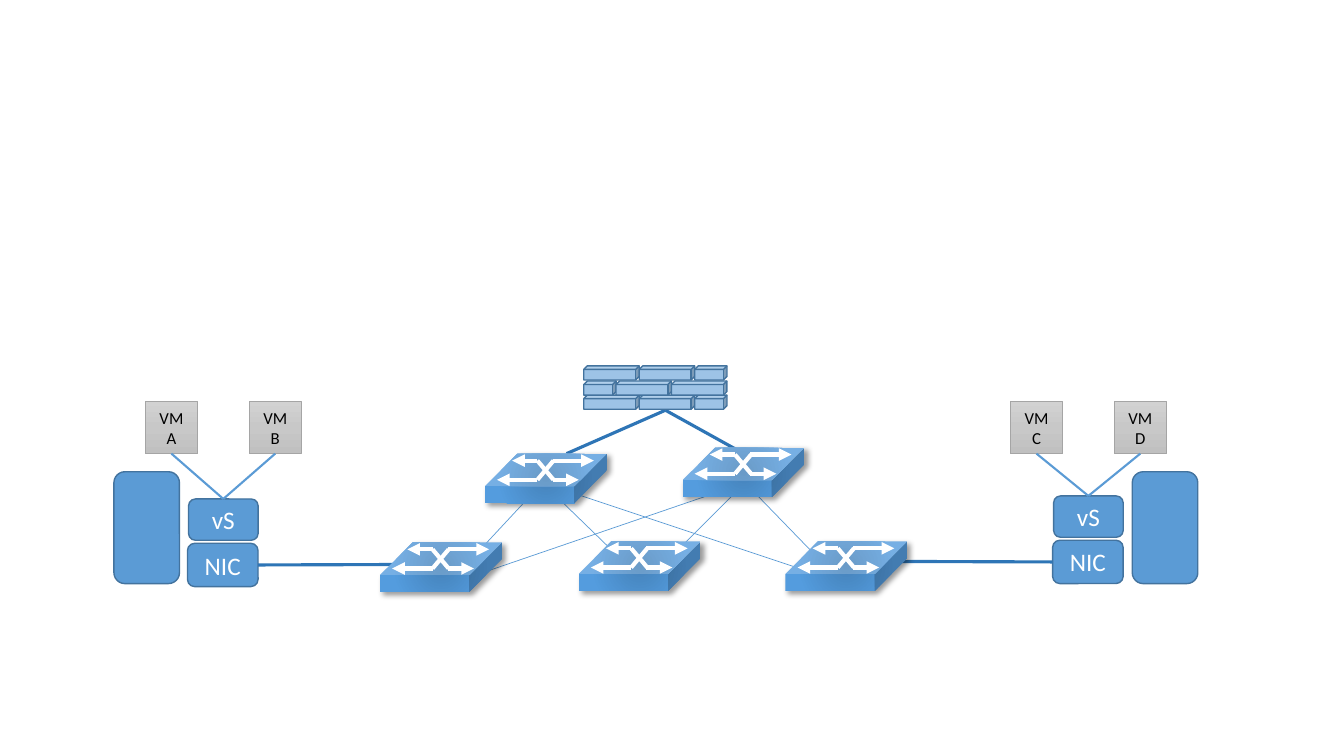
import itertools

import pptx
import pptx.dml.color
import pptx.enum.shapes
import pptx.enum.text
import pptx.oxml
import pptx.oxml.ns
import pptx.util
from pptx.util import Inches

COLORS = {
    "blue": "5B9BD5", "outline": "43739E", "link": "2E75B6", "brick": "9DC3E6",
    "white": "FFFFFF", "black": "000000", "vm_outline": "A5A5A5",
}
VM_STOPS = [(0, "D2D2D2"), (50, "C8C8C8"), (100, "C0C0C0")]
SWITCH_STOPS = [(0, "305C84"), (0, "4583BB"), (75, "549CDE")]
LINEAR = '<a:lin ang="5400000" scaled="0"/>'
RADIAL = '<a:path path="circle"><a:fillToRect l="50000" t="50000" r="50000" b="50000"/></a:path>'
NAMESPACE = pptx.oxml.ns.nsdecls("a")
SHAPE = pptx.enum.shapes.MSO_SHAPE
rgb = pptx.dml.color.RGBColor.from_string

presentation = pptx.Presentation()
presentation.slide_width = Inches(13.33)
presentation.slide_height = Inches(7.5)
slide = presentation.slides.add_slide(presentation.slide_layouts[6])


def add_line(begin, end, color, width, arrow=False):
    connector = slide.shapes.add_connector(
        pptx.enum.shapes.MSO_CONNECTOR.STRAIGHT, *map(Inches, (*begin, *end)))
    connector.line.color.rgb = rgb(COLORS[color])
    connector.line.width = pptx.util.Pt(width)
    if arrow:
        connector.line._get_or_add_ln().append(
            pptx.oxml.parse_xml(f'<a:tailEnd {NAMESPACE} type="triangle"/>'))
    connector._element.spPr.append(pptx.oxml.parse_xml(f"<a:effectLst {NAMESPACE}/>"))
    return connector


def add_block(preset, box, fill, outline=None, width=1, text="", size=18, color="white"):
    """Add a shape; fill is a colour name or a pair of gradient stops and direction."""
    shape = slide.shapes.add_shape(preset, *map(Inches, box))
    if isinstance(fill, str):
        shape.fill.solid()
        shape.fill.fore_color.rgb = rgb(COLORS[fill])
    else:
        stops, direction = fill
        stop_xml = "".join(
            f'<a:gs pos="{position * 1000}"><a:srgbClr val="{value}"/></a:gs>'
            for position, value in stops)
        shape._element.spPr.insert(2, pptx.oxml.parse_xml(
            f"<a:gradFill {NAMESPACE}><a:gsLst>{stop_xml}</a:gsLst>{direction}</a:gradFill>"))
    if outline:
        shape.line.color.rgb = rgb(COLORS[outline])
        shape.line.width = pptx.util.Pt(width)
    else:
        shape.line.fill.background()
    shape.shadow.inherit = False
    if text:
        shape.text_frame.text = text
        shape.text_frame.word_wrap = True
        shape.text_frame.vertical_anchor = pptx.enum.text.MSO_ANCHOR.MIDDLE
        paragraph = shape.text_frame.paragraphs[0]
        paragraph.alignment = pptx.enum.text.PP_ALIGN.CENTER
        font = paragraph.runs[0].font
        font.name = "Calibri"
        font.size = pptx.util.Pt(size)
        font.color.rgb = rgb(COLORS[color])
    return shape


# Links between the firewall, spine switches and leaf switches
for spine_top in [(5.62, 4.5), (7.43, 4.53)]:
    add_line(spine_top, (6.6, 4.07), "link", 2.25)

spine_centers = [(5.38, 4.79), (7.39, 4.79)]
leaf_centers = [(4.44, 5.8), (6.4, 5.78), (8.35, 5.78)]
for spine, leaf in itertools.product(spine_centers, leaf_centers):
    add_line(spine, leaf, "blue", 0.5)

# Hosts: server, NIC, virtual switch and two virtual machines each
# server left, NIC left, NIC top, NIC side, uplink end, VMs
hosts = [
    (1.13, 1.86, 5.39, 3, (4.03, 5.6), [(1.44, "VM A"), (2.47, "VM B")]),
    (11.23, 10.44, 5.36, 1, (8.85, 5.57), [(10.02, "VM C"), (11.05, "VM D")]),
]
for server_left, nic_left, nic_top, nic_side, uplink_end, machines in hosts:
    add_block(SHAPE.ROUNDED_RECTANGLE, (server_left, 4.68, 0.65, 1.11), "blue", "outline")
    nic = add_block(SHAPE.ROUNDED_RECTANGLE, (nic_left, nic_top, 0.7, 0.43),
                    "blue", "outline", text="NIC")
    add_line(uplink_end, uplink_end, "link", 2.25).begin_connect(nic, nic_side)
    virtual_switch = add_block(
        SHAPE.ROUNDED_RECTANGLE, (nic_left + 0.01, nic_top - 0.44, 0.69, 0.41),
        "blue", "outline", text="vS")
    for machine_left, name in machines:
        machine = add_block(SHAPE.RECTANGLE, (machine_left, 3.98, 0.52, 0.52),
                            (VM_STOPS, LINEAR), "vm_outline", 0.5, name, 12, "black")
        link = add_line((0, 0), (1, 1), "blue", 1.5)
        link.begin_connect(virtual_switch, 0)
        link.end_connect(machine, 2)

# Firewall: three courses of bricks, from the bottom up
LONG, SHORT = 0.55, 0.32
courses = [(3.92, (LONG, LONG, SHORT)), (3.78, (SHORT, LONG, LONG)), (3.63, (LONG, LONG, SHORT))]
for course_top, bricks in courses:
    brick_left = 5.79
    for brick_width in bricks:
        add_block(SHAPE.CUBE, (brick_left, course_top, brick_width, 0.14), "brick", "outline")
        brick_left += brick_width

# Switches, with their arrows placed relative to the top left corner
switch_arrows = [
    ((0.67, 0.07), (1.08, 0.07), True),
    ((0.67, 0.26), (0.93, 0.26), True),
    ((0.52, 0.07), (0.27, 0.07), True),
    ((0.52, 0.26), (0.12, 0.26), True),
    ((0.52, 0.26), (0.68, 0.07), False),
    ((0.68, 0.26), (0.52, 0.07), False),
]
for left, top in [(3.77, 5.38), (5.74, 5.37), (6.77, 4.44), (4.81, 4.5), (7.79, 5.37)]:
    switch = add_block(SHAPE.CUBE, (left, top, 1.21, 0.49), (SWITCH_STOPS, RADIAL))
    switch.adjustments[0] = 0.66
    effects = switch._element.spPr.find(pptx.oxml.ns.qn("a:effectLst"))
    effects.append(pptx.oxml.parse_xml(
        f'<a:outerShdw {NAMESPACE} blurRad="50800" dist="38100" dir="2700000" algn="tl" '
        'rotWithShape="0"><a:srgbClr val="000000"><a:alpha val="40000"/></a:srgbClr>'
        '</a:outerShdw>'))
    for begin, end, arrow in switch_arrows:
        add_line((left + begin[0], top + begin[1]), (left + end[0], top + end[1]),
                 "white", 3, arrow)

presentation.save("out.pptx")
